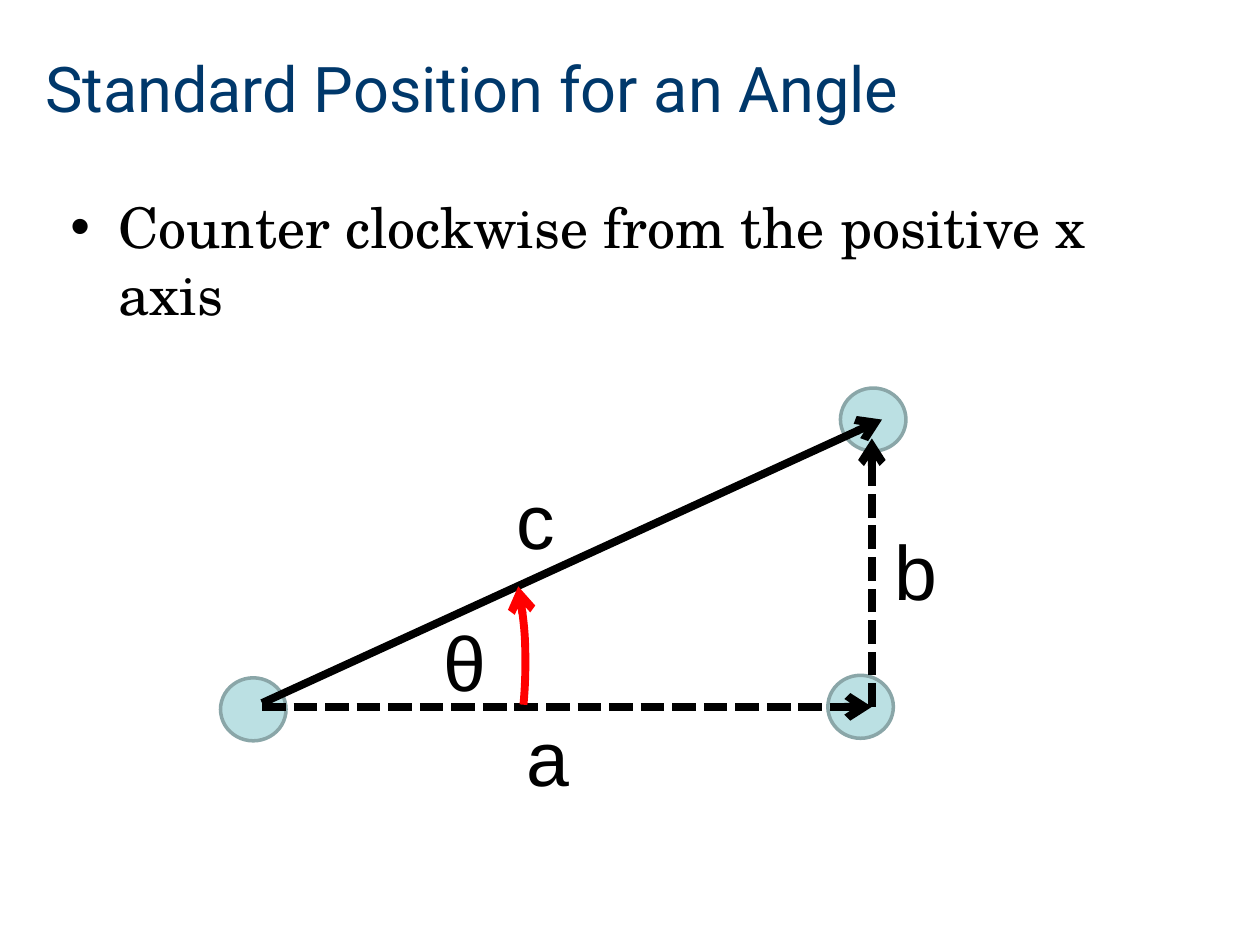
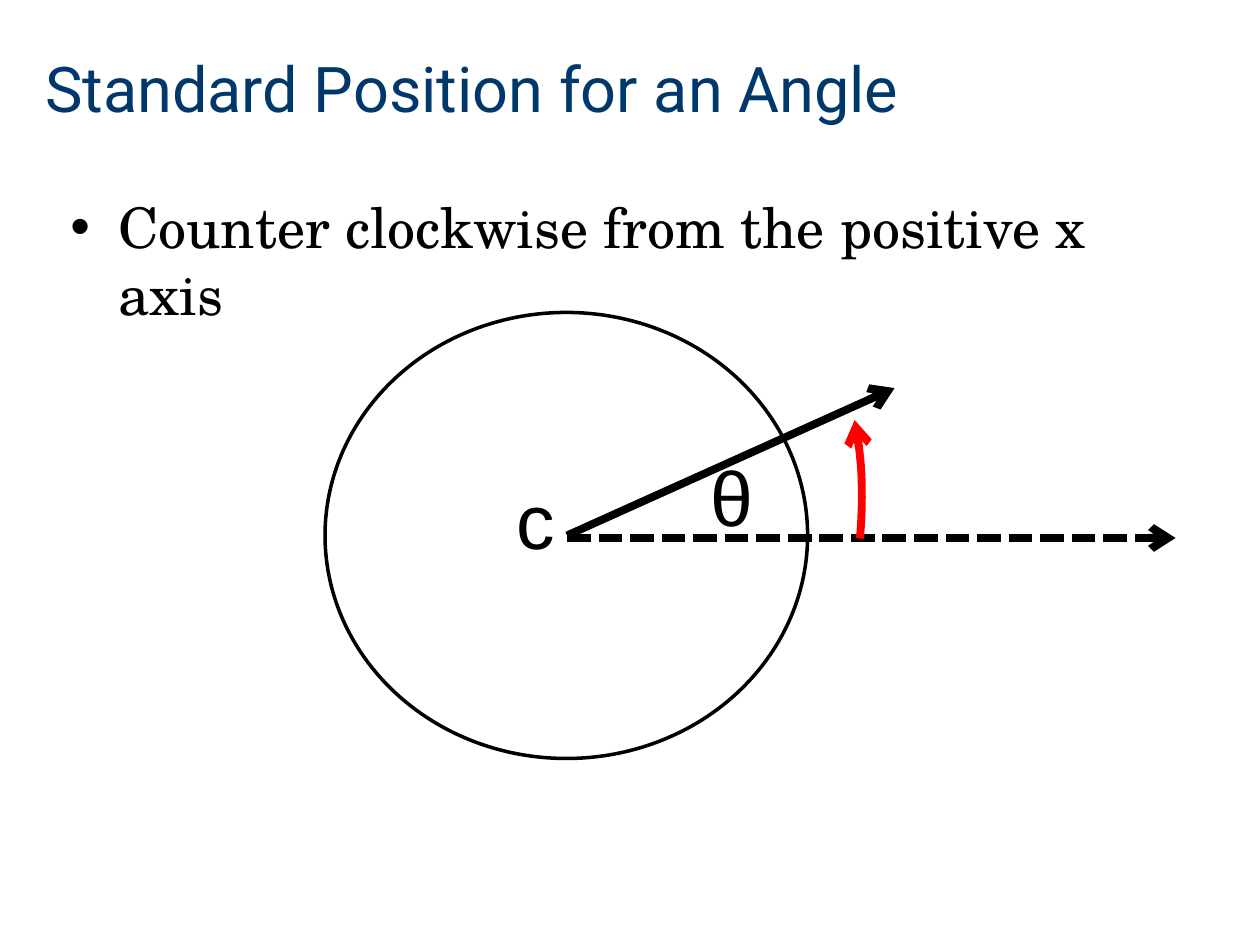
from dataclasses import dataclass

from lxml.etree import SubElement
from pptx import Presentation
from pptx.dml.color import RGBColor
from pptx.enum.dml import MSO_LINE
from pptx.enum.shapes import MSO_CONNECTOR, MSO_SHAPE
from pptx.enum.text import MSO_ANCHOR, MSO_AUTO_SIZE, PP_ALIGN
from pptx.oxml.ns import qn
from pptx.util import Inches, Pt


@dataclass(frozen=True)
class Theme:
    black: str = "000000"
    white: str = "FFFFFF"
    navy: str = "00386B"
    red: str = "FF0000"
    disc_fill: str = "BBE0E3"
    disc_line: str = "8AA6A8"
    title_font: str = "Roboto"
    body_font: str = "TeX Gyre Schola"
    label_font: str = "Arial"
    title_size: float = 36
    body_size: float = 32
    label_size: float = 44
    thin: float = 2
    thick: float = 4.5


class Board:
    """Holds the theme and the slide being drawn."""

    def __init__(self, deck, theme):
        self.deck = deck
        self.theme = theme
        self.page = None

    def new_page(self):
        self.page = self.deck.slides.add_slide(self.deck.slide_layouts[6])

    def style_font(self, para, name, size, color):
        para.font.name = name
        para.font.size = Pt(size)
        para.font.color.rgb = RGBColor.from_string(color)

    def style_line(self, line, color, width):
        line.color.rgb = RGBColor.from_string(color)
        line.width = Pt(width)

    def shape(self, kind, left, top, width, height, fill=None):
        box = self.page.shapes.add_shape(
            kind, Inches(left), Inches(top), Inches(width), Inches(height))
        box.shadow.inherit = False
        if fill:
            box.fill.solid()
            box.fill.fore_color.rgb = RGBColor.from_string(fill)
        else:
            box.fill.background()
        return box

    def textbox(self, left, top, width, height):
        box = self.page.shapes.add_textbox(
            Inches(left), Inches(top), Inches(width), Inches(height))
        box.text_frame.word_wrap = True
        return box.text_frame

    def title(self, text):
        look = self.theme
        band = self.shape(MSO_SHAPE.RECTANGLE, -0.35, 0.02, 10.79, 1.35, look.white)
        band.line.fill.background()
        frame = band.text_frame
        frame.margin_left = Inches(0.71)
        frame.vertical_anchor = MSO_ANCHOR.MIDDLE
        para = frame.paragraphs[0]
        para.text = text
        para.alignment = PP_ALIGN.LEFT
        self.style_font(para, look.title_font, look.title_size, look.navy)

    def bullet(self, text):
        look = self.theme
        para = self.textbox(0.46, 1.48, 9, 4.95).paragraphs[0]
        para.text = text
        para.space_before = Pt(0.2 * look.body_size)
        self.style_font(para, look.body_font, look.body_size, look.black)
        props = para._p.get_or_add_pPr()
        indent = Inches(0.38)
        props.set("marL", str(indent))
        props.set("indent", str(-indent))
        # Bullet elements come before the default run properties
        following = props.find(qn("a:defRPr"))
        for tag, key, value in (("a:buFont", "typeface", look.label_font),
                                ("a:buChar", "char", "•")):
            mark = SubElement(props, qn(tag))
            mark.set(key, value)
            if following is not None:
                following.addprevious(mark)

    def label(self, text, left, top):
        look = self.theme
        frame = self.textbox(left, top, 2.75, 0.84)
        frame.auto_size = MSO_AUTO_SIZE.SHAPE_TO_FIT_TEXT
        para = frame.paragraphs[0]
        para.text = text
        self.style_font(para, look.label_font, look.label_size, look.black)

    def ellipse(self, left, top, width, height, fill, outline):
        oval = self.shape(MSO_SHAPE.OVAL, left, top, width, height, fill)
        self.style_line(oval.line, outline, self.theme.thin)

    def disc(self, left, top):
        self.ellipse(left, top, 0.52, 0.5, self.theme.disc_fill, self.theme.disc_line)

    def arrowhead(self, line, end):
        SubElement(line._get_or_add_ln(), qn(end)).set("type", "arrow")

    def arrow(self, start, finish, dashed=False):
        ray = self.page.shapes.add_connector(
            MSO_CONNECTOR.STRAIGHT, *map(Inches, start + finish))
        self.style_line(ray.line, self.theme.black, self.theme.thick)
        if dashed:
            ray.line.dash_style = MSO_LINE.SQUARE_DOT  # written as sysDash below
            ray.line._get_or_add_ln().find(qn("a:prstDash")).set("val", "sysDash")
        self.arrowhead(ray.line, "a:tailEnd")
        SubElement(ray._element.spPr, qn("a:effectLst"))

    def angle_arc(self, left, top):
        arc = self.shape(MSO_SHAPE.ARC, left, top, 0.75, 2.31)
        # One degree is 60000 units; an adjustment of 1 is 100000 units
        for index, degrees in enumerate((297.52, 42.43)):
            arc.adjustments[index] = degrees * 0.6
        self.style_line(arc.line, self.theme.red, self.theme.thick)
        self.arrowhead(arc.line, "a:headEnd")


TITLE = "Standard Position for an Angle"
RULE = "Counter clockwise from the positive x axis"

deck = Presentation()
deck.slide_width, deck.slide_height = Inches(10), Inches(7.5)
board = Board(deck, Theme())

# Slide 1: right triangle with sides a, b and c
board.new_page()
for corner in ((6.57, 5.36), (1.75, 5.38), (6.67, 3.08)):
    board.disc(*corner)
board.bullet(RULE)
for name, left, top in (("a", 4.08, 5.58), ("b", 7, 4.11),
                        ("c", 4, 3.7), ("θ", 3.42, 4.83)):
    board.label(name, left, top)
right_corner = (6.92, 5.61)
board.arrow((2.08, 5.58), (7, 3.33))
board.arrow((2.08, 5.61), right_corner, dashed=True)
board.arrow(right_corner, (6.92, 3.48), dashed=True)
board.angle_arc(3.42, 4.11)
board.title(TITLE)

# Slide 2: angle at the centre of a circle
board.new_page()
board.ellipse(2.58, 2.48, 3.83, 3.54, board.theme.white, board.theme.black)
board.bullet(RULE)
board.label("c", 4, 3.7)
board.label("θ", 5.54, 3.52)
board.arrow((4.5, 4.25), (7.1, 3.08))
board.arrow((4.5, 4.27), (9.33, 4.27), dashed=True)
board.angle_arc(6.09, 2.79)
board.title(TITLE)

deck.save("out.pptx")
